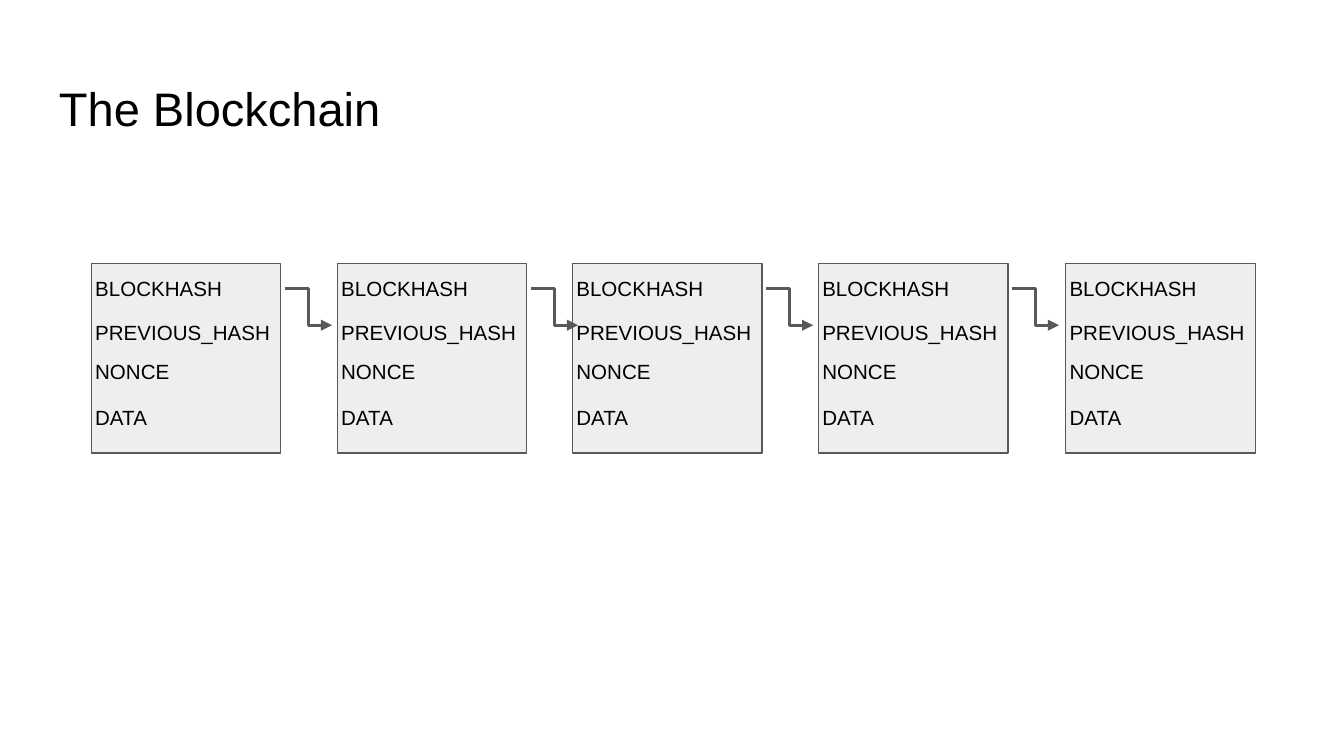
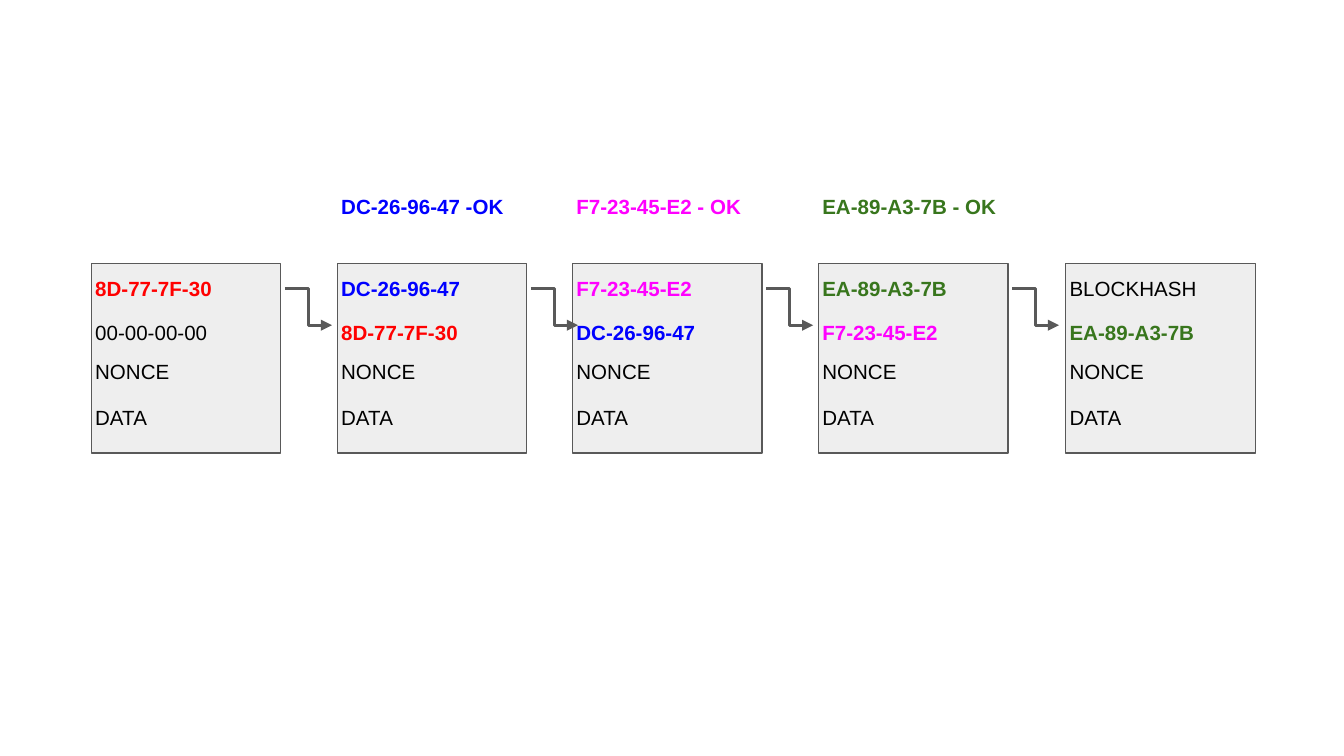
import lxml.etree
import pptx
import pptx.dml.color
import pptx.enum.shapes
import pptx.enum.text
import pptx.oxml.ns
import pptx.util

Inches = pptx.util.Inches
Anchor = pptx.enum.text.MSO_ANCHOR

PAGE_WIDTH = 10
BLOCK_LEFTS = [0.68, 2.51, 4.26, 6.09, 7.93]
BLOCK_TOP = 1.96
BLOCK_SIDE = 1.41
TEXT_OFFSET = -0.07
FIELD_TOPS = [1.96, 2.29, 2.58, 2.92]
FIELD_WIDTHS = [1.53, 1.67, 1.67, 1.67]
LINE_HEIGHT = 0.39
TALL_HEIGHT = 0.57

HASH_COLORS = {
    "8D-77-7F-30": "FF0000",
    "DC-26-96-47": "0000FF",
    "F7-23-45-E2": "FF00FF",
    "EA-89-A3-7B": "38761D",
}
PLAIN_CHAIN = [("BLOCKHASH", "PREVIOUS_HASH")] * len(BLOCK_LEFTS)
HASHES = list(HASH_COLORS)
HASHED_CHAIN = list(zip(HASHES + ["BLOCKHASH"], ["00-00-00-00"] + HASHES))
CHECKS = [  # block index, hash, verdict, label width
    (1, "DC-26-96-47", " -OK", 1.58),
    (2, "F7-23-45-E2", " - OK", 1.48),
    (3, "EA-89-A3-7B", " - OK", 1.58),
]


def color(value):
    return pptx.dml.color.RGBColor.from_string(value)


class ChainDeck:
    font = "Arial"
    ink = "000000"
    outline = "595959"
    block_fill = "EEEEEE"

    def __init__(self):
        self.deck = pptx.Presentation()
        self.deck.slide_width = Inches(PAGE_WIDTH)
        self.deck.slide_height = Inches(PAGE_WIDTH * 9 / 16)
        self.page = None

    def add_page(self):
        self.page = self.deck.slides.add_slide(self.deck.slide_layouts[6])

    def text(self, text, left, top, width, height=LINE_HEIGHT, *, size=11,
             ink=None, bold=False, anchor=Anchor.TOP, group=None):
        shapes = (group or self.page).shapes
        box = shapes.add_textbox(Inches(left), Inches(top), Inches(width), Inches(height))
        frame = box.text_frame
        frame.word_wrap = True
        frame.vertical_anchor = anchor
        frame.margin_left = frame.margin_right = Inches(0.1)
        frame.margin_top = frame.margin_bottom = Inches(0.1)
        para = frame.paragraphs[0]
        span = para.add_run()
        span.text = text
        span.font.name = self.font
        span.font.size = pptx.util.Pt(size)
        span.font.bold = bold
        span.font.color.rgb = color(ink or self.ink)

    def title(self, text):
        self.text(text, 0.34, 0.49, 9.32, 0.63, size=25.2, anchor=Anchor.MIDDLE)

    def block(self, left, fields):
        group = self.page.shapes.add_group_shape()
        square = group.shapes.add_shape(
            pptx.enum.shapes.MSO_SHAPE.RECTANGLE, Inches(left), Inches(BLOCK_TOP),
            Inches(BLOCK_SIDE), Inches(BLOCK_SIDE))
        square.shadow.inherit = False
        square.fill.solid()
        square.fill.fore_color.rgb = color(self.block_fill)
        square.line.color.rgb = color(self.outline)
        square.line.width = pptx.util.Pt(0.75)
        for row, (field, top, width) in enumerate(zip(fields, FIELD_TOPS, FIELD_WIDTHS)):
            hashed = field in HASH_COLORS
            tall = hashed and (row == 1 or left == BLOCK_LEFTS[1])
            self.text(field, left + TEXT_OFFSET, top, width,
                      TALL_HEIGHT if tall else LINE_HEIGHT,
                      ink=HASH_COLORS.get(field), bold=hashed, group=group)

    def arrow(self, left):
        """Bent arrow from a block's own hash to the next block's previous hash."""
        start = left + BLOCK_SIDE + 0.03
        arrow = self.page.shapes.add_connector(
            pptx.enum.shapes.MSO_CONNECTOR.ELBOW, Inches(start), Inches(2.15),
            Inches(start + 0.35), Inches(2.42))
        arrow.line.color.rgb = color(self.outline)
        arrow.line.width = pptx.util.Pt(1.5)
        qn = pptx.oxml.ns.qn
        properties = arrow.element.spPr
        lxml.etree.SubElement(properties.find(qn("a:ln")), qn("a:tailEnd"), type="triangle")
        lxml.etree.SubElement(properties, qn("a:effectLst"))

    def chain(self, hash_pairs):
        for left, pair in zip(BLOCK_LEFTS, hash_pairs):
            self.block(left, [*pair, "NONCE", "DATA"])
        for left in BLOCK_LEFTS[:-1]:
            self.arrow(left)

    def check(self, index, value, verdict, width):
        self.text(value + verdict, BLOCK_LEFTS[index] + TEXT_OFFSET, 1.35, width,
                  ink=HASH_COLORS[value], bold=True)


def main():
    show = ChainDeck()
    show.add_page()
    show.title("The Blockchain")
    show.chain(PLAIN_CHAIN)

    show.add_page()
    show.chain(HASHED_CHAIN)
    for check in CHECKS:
        show.check(*check)
    show.deck.save("out.pptx")


if __name__ == "__main__":
    main()
